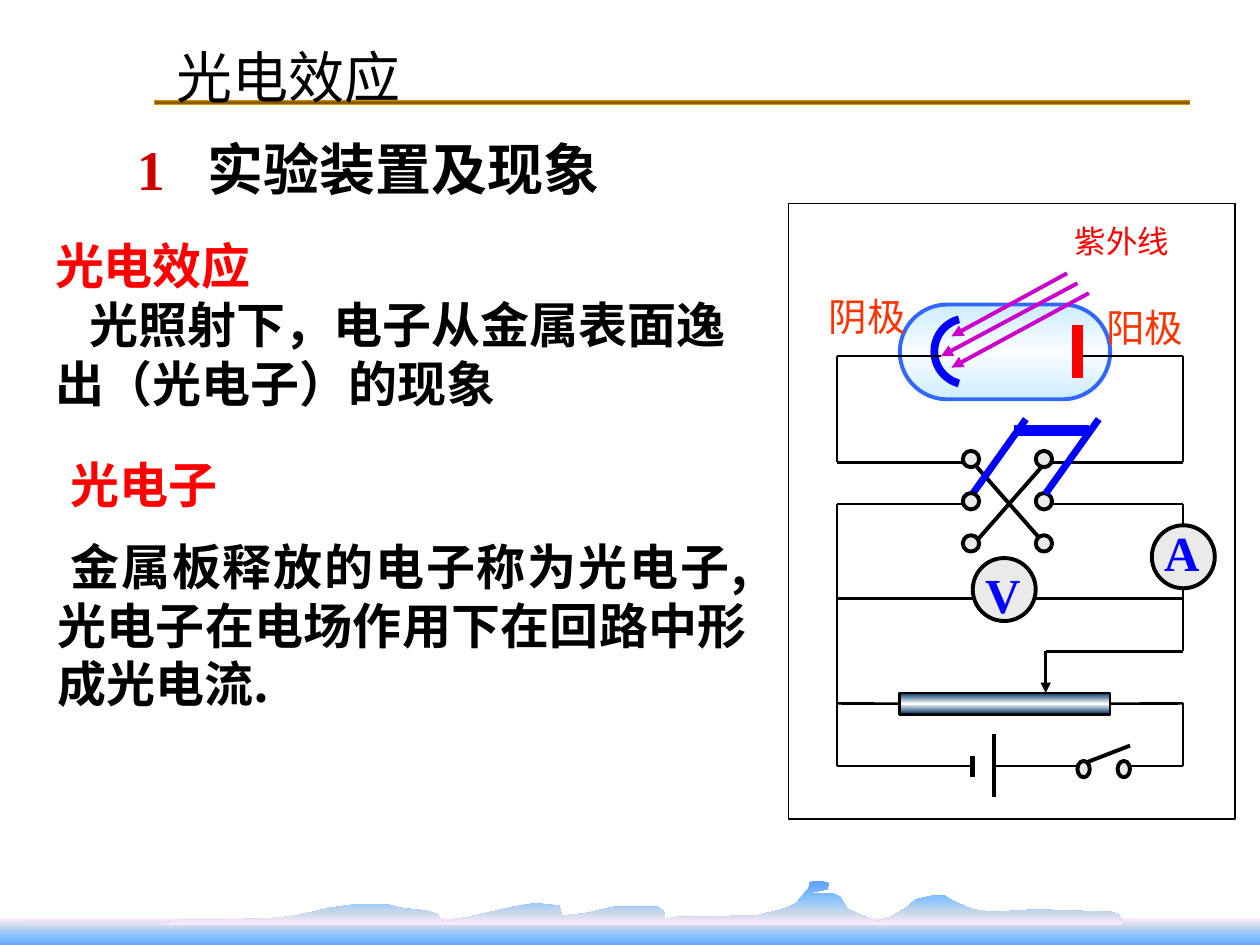
from pptx import Presentation
from pptx.dml.color import RGBColor
from pptx.enum.shapes import MSO_CONNECTOR, MSO_SHAPE
from pptx.enum.text import MSO_AUTO_SIZE, PP_ALIGN
from pptx.oxml.ns import qn
from pptx.oxml.xmlchemy import OxmlElement
from pptx.util import Cm, Pt

COLORS = {
    "black": "000000", "white": "FFFFFF", "red": "FF0000", "crimson": "CC0000",
    "orange": "FF3300", "blue": "0000FF", "tube": "3366FF", "ray": "CC00CC",
    "node": "EAEAEA", "gold": "FFA800", "bronze": "825600", "navy": "003366",
    "ice": "CCECFF", "frost": "FAFDFF", "mist": "FFEBFA", "haze": "C4D6EB",
    "sky": "85C2FF", "sea": "5E9EFF",
}
CJK = "Noto Sans CJK SC"
SERIF = "Times New Roman"
RIDGE = [
    (0, 35), (107, 35), (120, 31), (155, 31), (191, 30), (203, 29), (211, 28),
    (220, 26), (225, 25), (238, 22), (251, 20), (260, 19), (284, 19), (297, 22),
    (316, 24), (325, 27), (328, 33), (358, 27), (371, 24), (384, 21), (402, 18),
    (421, 20), (423, 28), (442, 26), (464, 21), (499, 21), (504, 24), (505, 31),
    (514, 29), (566, 28), (576, 28), (594, 24), (603, 21), (609, 18), (619, 6),
    (620, 1), (628, 0), (635, 2), (634, 7), (618, 10), (638, 10), (644, 13),
    (650, 23), (665, 29), (672, 33), (684, 29), (696, 22), (704, 15), (713, 13),
    (718, 12), (727, 12), (733, 16), (749, 23), (765, 25), (800, 23), (860, 25),
    (866, 28), (868, 35),
]


def rgb(name):
    return RGBColor.from_string(COLORS[name])


def element(tag, **attributes):
    node = OxmlElement(tag)
    for key, value in attributes.items():
        node.set(key, str(value))
    return node


def paint_gradient(shape, stops, from_center=False):
    shape.fill.gradient()
    shape.fill.gradient_angle = 270
    gradient = shape._element.spPr.find(qn("a:gradFill"))
    stop_list = gradient.find(qn("a:gsLst"))
    for old in list(stop_list):
        stop_list.remove(old)
    for position, name in stops:
        stop = element("a:gs", pos=position * 1000)
        stop.append(element("a:srgbClr", val=COLORS[name]))
        stop_list.append(stop)
    if from_center:
        center = element("a:path", path="shape")
        center.append(element("a:fillToRect", l=50000, t=50000, r=50000, b=50000))
        gradient.replace(gradient.find(qn("a:lin")), center)


def finish(shape, fill=None, stops=None, line=None, width=0.75, from_center=False):
    shape.shadow.inherit = False
    if stops:
        paint_gradient(shape, stops, from_center)
    else:
        shape.fill.solid()
        shape.fill.fore_color.rgb = rgb(fill)
    if line:
        shape.line.color.rgb = rgb(line)
        shape.line.width = Pt(width)
    else:
        shape.line.fill.background()
    return shape


def add_part(shapes, kind, x, y, w, h, **look):
    return finish(shapes.add_shape(kind, Cm(x), Cm(y), Cm(w), Cm(h)), **look)


def add_line(shapes, start, end, color="black", width=1.5, arrow=False):
    line = shapes.add_connector(MSO_CONNECTOR.STRAIGHT, *map(Cm, start + end))
    line.line.color.rgb = rgb(color)
    line.line.width = Pt(width)
    if arrow:
        line.line._get_or_add_ln().append(element("a:tailEnd", type="triangle"))
    line._element.spPr.append(element("a:effectLst"))
    return line


def add_frame(shapes, x, y, w, h, wrap=True, inset=True):
    frame = shapes.add_textbox(Cm(x), Cm(y), Cm(w), Cm(h)).text_frame
    frame.word_wrap = wrap
    frame.auto_size = MSO_AUTO_SIZE.SHAPE_TO_FIT_TEXT
    if not inset:
        frame.margin_left = frame.margin_right = Cm(0)
        frame.margin_top = frame.margin_bottom = Cm(0)
    return frame


def write(paragraph, text, size=28, font=CJK, color="black", bold=False,
          align=None, indent=0, before=0, tab=None):
    properties = paragraph._p.get_or_add_pPr()
    if indent:
        properties.set("indent", str(Cm(indent)))
    if align:
        paragraph.alignment = align
    if before:
        paragraph.space_before = Pt(before)
    if tab:
        tabs = element("a:tabLst")
        tabs.append(element("a:tab", pos=Cm(tab), algn="l"))
        properties.append(tabs)
    run = paragraph.add_run()
    run.text = text
    run.font.size = Pt(size)
    run.font.bold = bold
    run.font.color.rgb = rgb(color)
    run.font.name = font
    run._r.get_or_add_rPr().append(element("a:ea", typeface=CJK))


def draw_landscape(shapes, x, y, width):
    shades = ["mist", "haze", "sky", "sea"]
    add_part(shapes, MSO_SHAPE.RECTANGLE, x, y + 0.76, width, 0.61,
             stops=list(zip([0, 30, 60, 100], shades)))
    ridge = shapes.build_freeform(*RIDGE[0], scale=Cm(0.0254))
    ridge.add_line_segments(RIDGE[1:], close=True)
    finish(ridge.convert_to_shape(Cm(x + 0.58), Cm(y)),
           stops=list(zip([0, 40, 70, 100], reversed(shades))))


def draw_header(shapes, x, y):
    bands = [(p, "gold" if i % 2 else "bronze")
             for i, p in enumerate([0, 13, 28, 43, 58, 72, 87, 100])]
    add_part(shapes, MSO_SHAPE.RECTANGLE, x, y + 1.27, 20.9, 0.1,
             stops=bands, from_center=True)
    title = add_frame(shapes, x + 0.2, y, 6.4, 1.63)
    write(title.paragraphs[0], "光电效应", size=32, align=PP_ALIGN.JUSTIFY)


def draw_explanation(shapes, x, y):
    heading = add_frame(shapes, x + 1.65, y, 12.84, 1.6).paragraphs[0]
    write(heading, "1\t", size=32, font=SERIF, color="crimson", bold=True, tab=1.42)
    write(heading, "实验装置及现象", size=32, bold=True)

    effect = add_frame(shapes, x, y + 2.03, 14.81, 3.86)
    write(effect.paragraphs[0], "光电效应", color="red", bold=True)
    write(effect.add_paragraph(), "光照射下，电子从金属表面逸出（光电子）的现象",
          bold=True, indent=0.69)

    electron = add_frame(shapes, x + 0.05, y + 6.45, 14.4, 5.64)
    layout = dict(bold=True, align=PP_ALIGN.JUSTIFY, indent=0.26)
    write(electron.paragraphs[0], "光电子", color="red", **layout)
    write(electron.add_paragraph(),
          "金属板释放的电子称为光电子,光电子在电场作用下在回路中形成光电流.",
          before=13, **layout)


def draw_circuit(shapes, x, y):
    left, right, pole_a, pole_b = 0.97, 7.95, 3.71, 5.18

    def part(kind, dx, dy, w, h, **look):
        return add_part(shapes, kind, x + dx, y + dy, w, h, **look)

    def line(x1, y1, x2, y2, **look):
        return add_line(shapes, (x + x1, y + y1), (x + x2, y + y2), **look)

    def label(text, dx, dy, w, h, inset=False, **style):
        frame = add_frame(shapes, x + dx, y + dy, w, h, wrap=inset, inset=inset)
        write(frame.paragraphs[0], text, **style)

    def terminal(dx, dy, w, h):
        part(MSO_SHAPE.OVAL, dx, dy, w, h, fill="node", line="black", width=2.25)

    part(MSO_SHAPE.RECTANGLE, 0, 0, 9, 12.4, fill="white", line="black")
    tube = part(MSO_SHAPE.ROUNDED_RECTANGLE, 2.24, 2.03, 4.24, 1.91, line="tube",
                width=2.25, stops=[(0, "ice"), (50, "frost"), (100, "ice")])
    tube.adjustments[0] = 0.5
    cathode = part(MSO_SHAPE.BLOCK_ARC, 2.87, 2.24, 1.47, 1.47, fill="blue", line="blue")
    for index, value in enumerate([63.6, 152.4, 0.09]):
        cathode.adjustments[index] = value
    resistor = part(MSO_SHAPE.RECTANGLE, 2.24, 9.86, 4.24, 0.43, line="black", width=1.5,
                    stops=[(0, "navy"), (50, "white"), (100, "navy")])

    for wire in [
        (left, 3.07, 3.07, 3.07), (5.82, 3.07, right, 3.07),
        (left, 3.07, left, 5.21), (right, 3.07, right, 5.21),
        (left, 5.21, pole_a, 5.21), (pole_b, 5.21, right, 5.21),
        (left, 6.05, pole_a, 6.05), (pole_b, 6.05, right, 6.05),
        (left, 6.05, left, 11.33), (right, 6.05, right, 9.02),
        (left, 7.95, right, 7.95), (pole_b, 9.02, right, 9.02),
        (right, 10.07, right, 11.33), (left, 11.33, pole_a, 11.33),
        (4.14, 11.33, 5.82, 11.33), (6.88, 11.33, right, 11.33),
    ]:
        line(*wire)
    line(left, 10.07, 2.24, 10.07).end_connect(resistor, 1)
    line(6.48, 10.07, right, 10.07).begin_connect(resistor, 3)
    line(pole_b, 9.02, pole_b, 9.86, arrow=True)
    line(pole_a, 11.13, pole_a, 11.56, width=3)
    line(4.14, 10.69, 4.14, 11.96, width=2.25)
    line(5.82, 11.33, 6.88, 10.92, width=2.25)
    line(pole_a, 5.21, pole_b, 6.88, width=2.25)
    line(pole_b, 5.21, pole_a, 6.88, width=2.25)
    line(pole_a, 5.84, 4.78, 4.34, color="blue", width=4)
    for ray in [(5.61, 1.4, 3.28, 2.67), (5.82, 1.6, 3.07, 3.07), (6.05, 1.8, 3.28, 3.3)]:
        line(*ray, color="ray", width=2.25, arrow=True)

    for name, dx, dy, lift in [("V", 3.71, 7.14, 0), ("A", 7.32, 6.48, 0.18)]:
        terminal(dx, dy, 1.27, 1.27)
        label(name, dx, dy - lift, 1.47, 1.45, inset=True, font=SERIF,
              color="blue", bold=True)
    for pole in (pole_a, pole_b):
        for row in range(3):
            terminal(pole - 0.2, 4.98 + 0.85 * row, 0.33, 0.33)
    for contact in (5.82, 6.63):
        terminal(contact, 11.23, 0.25, 0.33)
    line(pole_b, 5.84, 6.25, 4.34, color="blue", width=4)
    line(4.55, 4.57, 6.05, 4.57, color="blue", width=6)
    line(5.82, 2.44, 5.82, 3.51, color="red", width=6)

    label("阳极", 6.4, 2.01, 1.57, 0.94, size=22, color="orange")
    label("阴极", 0.81, 1.8, 1.57, 0.94, size=22, color="orange")
    label("紫外线", 5.77, 0.36, 1.98, 0.76, size=18, font="Arial", color="red")


def main():
    deck = Presentation()
    deck.slide_width, deck.slide_height = Cm(25.4), Cm(19.05)
    slide = deck.slides.add_slide(deck.slide_layouts[6])
    draw_landscape(slide.shapes, 0, 17.75, 25.4)
    draw_header(slide.shapes, 3.1, 0.74)
    draw_circuit(slide.shapes.add_group_shape().shapes, 15.9, 4.11)
    draw_explanation(slide.shapes, 0.86, 2.59)
    deck.save("out.pptx")


if __name__ == "__main__":
    main()
